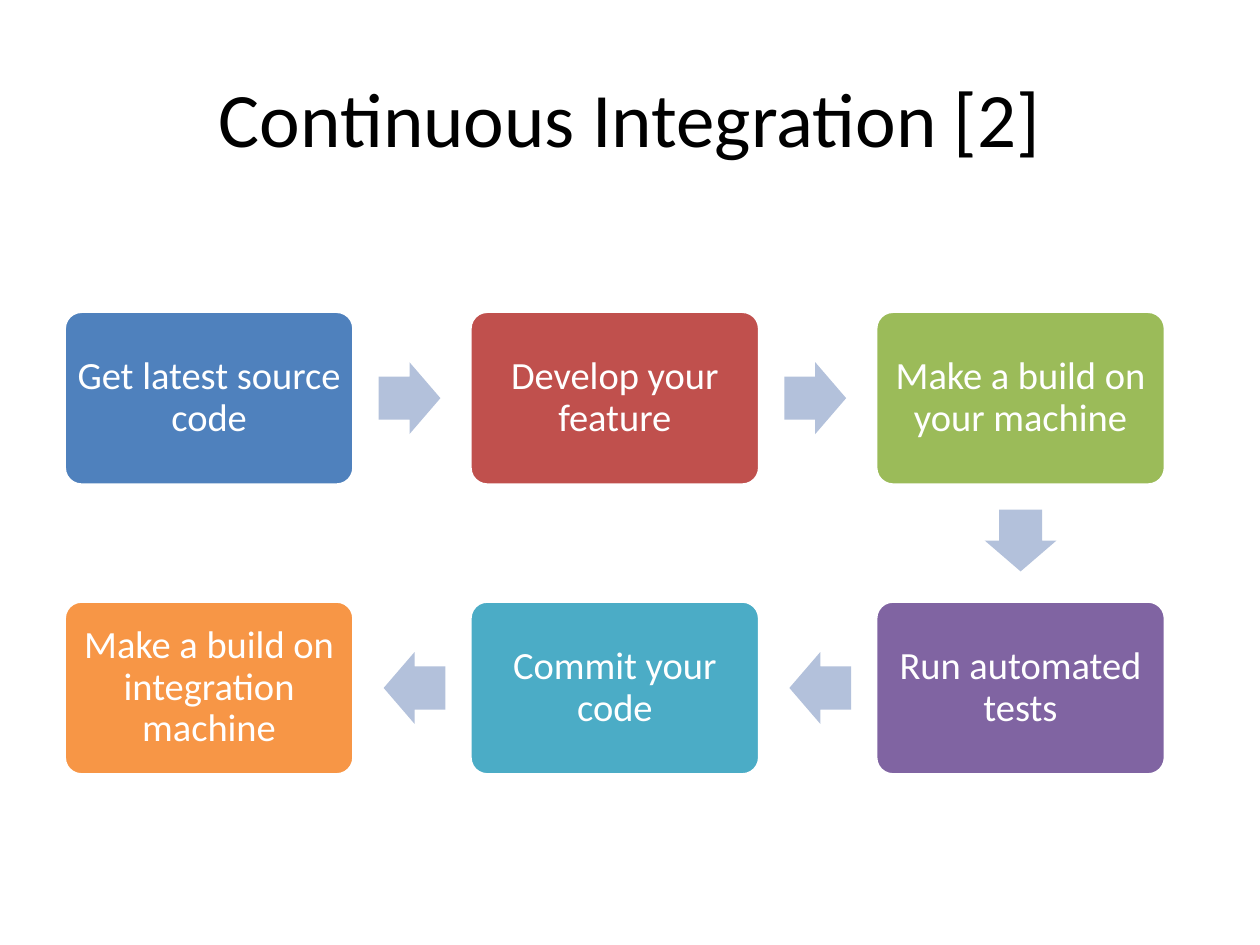
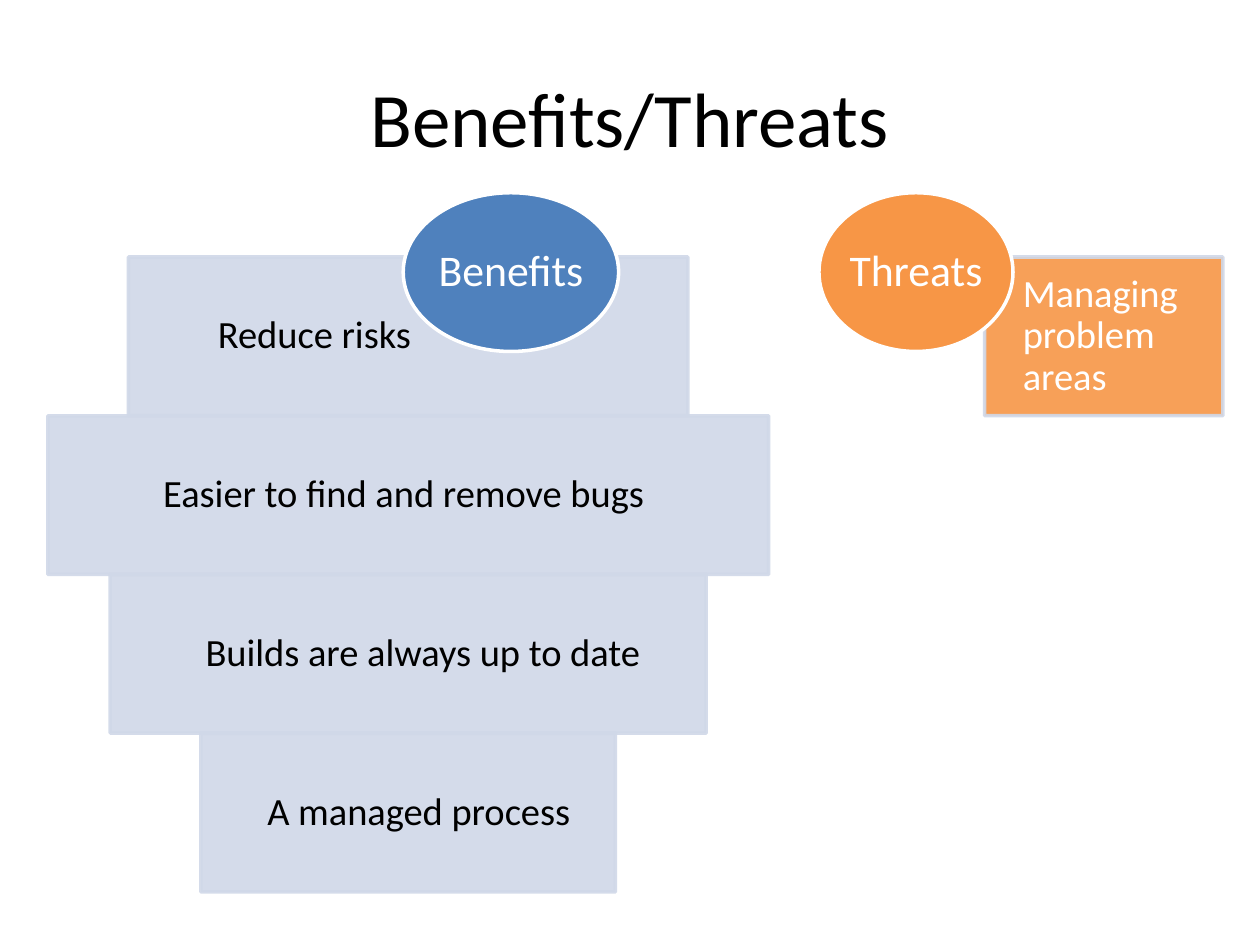
from math import atan2, degrees
from itertools import pairwise
from lxml.etree import SubElement
from pptx import Presentation
from pptx.dml.color import RGBColor
from pptx.enum.shapes import MSO_SHAPE as SHAPE
from pptx.enum.text import MSO_ANCHOR as ANCHOR, PP_ALIGN as ALIGN
from pptx.oxml.ns import qn
from pptx.util import Inches, Pt

BLACK = RGBColor(0x00, 0x00, 0x00)
WHITE = RGBColor(0xFF, 0xFF, 0xFF)
BLUE = RGBColor(0x4F, 0x81, 0xBD)
RED = RGBColor(0xC0, 0x50, 0x4D)
GREEN = RGBColor(0x9B, 0xBB, 0x59)
PURPLE = RGBColor(0x80, 0x64, 0xA2)
TEAL = RGBColor(0x4B, 0xAC, 0xC6)
ORANGE = RGBColor(0xF7, 0x96, 0x46)
ARROW_BLUE = RGBColor(0xB3, 0xC1, 0xDB)
PALE_BLUE = RGBColor(0xD0, 0xD8, 0xE8)

TITLE_FONT = {"name": "Calibri", "size": Pt(44)}
STEP_FONT = {"name": "Calibri", "size": Pt(22)}
HEADING_FONT = {"name": "Calibri", "size": Pt(25)}

deck = Presentation()
deck.slide_width, deck.slide_height = Inches(10), Inches(7.5)


def titled_slide(title):
    slide = deck.slides.add_slide(deck.slide_layouts[5])
    heading = slide.shapes.title
    heading.left, heading.top = Inches(0.5), Inches(0.3)
    heading.width, heading.height = Inches(9), Inches(1.25)
    heading.text_frame.text = title
    heading.text_frame.vertical_anchor = ANCHOR.MIDDLE
    line = heading.text_frame.paragraphs[0]
    line.alignment = ALIGN.CENTER
    line.font.color.rgb = BLACK
    for key, value in TITLE_FONT.items():
        setattr(line.font, key, value)
    return slide


def add_block(slide, kind, box, fill, edge=None, opacity=100, text="", font=STEP_FONT,
              color=WHITE, align=ALIGN.CENTER, insets=(0, 0, 0, 0), wrap=True):
    block = slide.shapes.add_shape(kind, *[Inches(length) for length in box])
    block.shadow.inherit = False
    block.fill.solid()
    block.fill.fore_color.rgb = fill
    if edge is None:
        block.line.fill.background()
    else:
        block.line.color.rgb = edge
        block.line.width = Pt(2)
    if opacity < 100:
        for tone in block._element.spPr.iter(qn("a:srgbClr")):
            SubElement(tone, qn("a:alpha"), val=str(opacity * 1000))
    if text:
        frame = block.text_frame
        frame.text = text
        frame.word_wrap = wrap
        frame.vertical_anchor = ANCHOR.MIDDLE
        for side, inset in zip(("left", "top", "right", "bottom"), insets):
            setattr(frame, f"margin_{side}", Inches(inset))
        line = frame.paragraphs[0]
        line.alignment = align
        line.line_spacing = 0.9
        line.font.color.rgb = color
        for key, value in font.items():
            setattr(line.font, key, value)
    return block


cycle = titled_slide("Continuous Integration [2]")

STEP_W, STEP_H = 2.3, 1.38
GRID_LEFT, GRID_TOP = 0.51, 2.47
COLUMN, ROW = 3.22, 2.3
ARROW_W, ARROW_H, ARROW_SHIFT = 0.49, 0.57, 0.02

steps = [
    ("Get latest source code", BLUE, 0, 0),
    ("Develop your feature", RED, 1, 0),
    ("Make a build on your machine", GREEN, 2, 0),
    ("Run automated tests", PURPLE, 2, 1),
    ("Commit your code", TEAL, 1, 1),
    ("Make a build on integration machine", ORANGE, 0, 1),
]
for label, fill, column, row in steps:
    box = (GRID_LEFT + column * COLUMN, GRID_TOP + row * ROW, STEP_W, STEP_H)
    step = add_block(cycle, SHAPE.ROUNDED_RECTANGLE, box, fill, WHITE,
                     text=label, insets=(0.05,) * 4)
    step.adjustments[0] = 0.1

for (*_, column, row), (*_, next_column, next_row) in pairwise(steps):
    across, down = next_column - column, next_row - row
    center_x = GRID_LEFT + STEP_W / 2 + (column + across / 2) * COLUMN - across * ARROW_SHIFT
    center_y = GRID_TOP + STEP_H / 2 + (row + down / 2) * ROW - down * ARROW_SHIFT
    box = (center_x - ARROW_W / 2, center_y - ARROW_H / 2, ARROW_W, ARROW_H)
    arrow = add_block(cycle, SHAPE.RIGHT_ARROW, box, ARROW_BLUE)
    arrow.adjustments[0], arrow.adjustments[1] = 0.6, 0.5
    arrow.rotation = degrees(atan2(down, across))

balance = titled_slide("Benefits/Threats")

BAR_TOP, BAR_H = 2.04, 1.26
HEADING_TOP = 1.53
TEXT_INDENT = 0.16

groups = [
    ("Benefits", BLUE, 3.2, 1.71, 3.24, PALE_BLUE, BLACK, [
        ("Reduce risks", 4.44),
        ("Easier to find and remove bugs", 5.72),
        ("Builds are always up to date", 4.73),
        ("A managed process", 3.29),
    ]),
    ("Threats", ORANGE, 6.5, 1.54, 8.76, ORANGE, WHITE, [
        ("Managing problem areas", 1.89),
    ]),
]
for heading, fill, left, width, bar_center, bar_fill, text_color, points in groups:
    for row, (point, bar_width) in enumerate(points):
        box = (bar_center - bar_width / 2, BAR_TOP + row * BAR_H, bar_width, BAR_H)
        add_block(balance, SHAPE.RECTANGLE, box, bar_fill, PALE_BLUE, opacity=90,
                  text=point, color=text_color, align=ALIGN.LEFT,
                  insets=(TEXT_INDENT * bar_width, 0.17, 0.17, 0.17))
    add_block(balance, SHAPE.OVAL, (left, HEADING_TOP, width, BAR_H), fill, WHITE,
              text=heading, font=HEADING_FONT, wrap=False)

deck.save("out.pptx")
